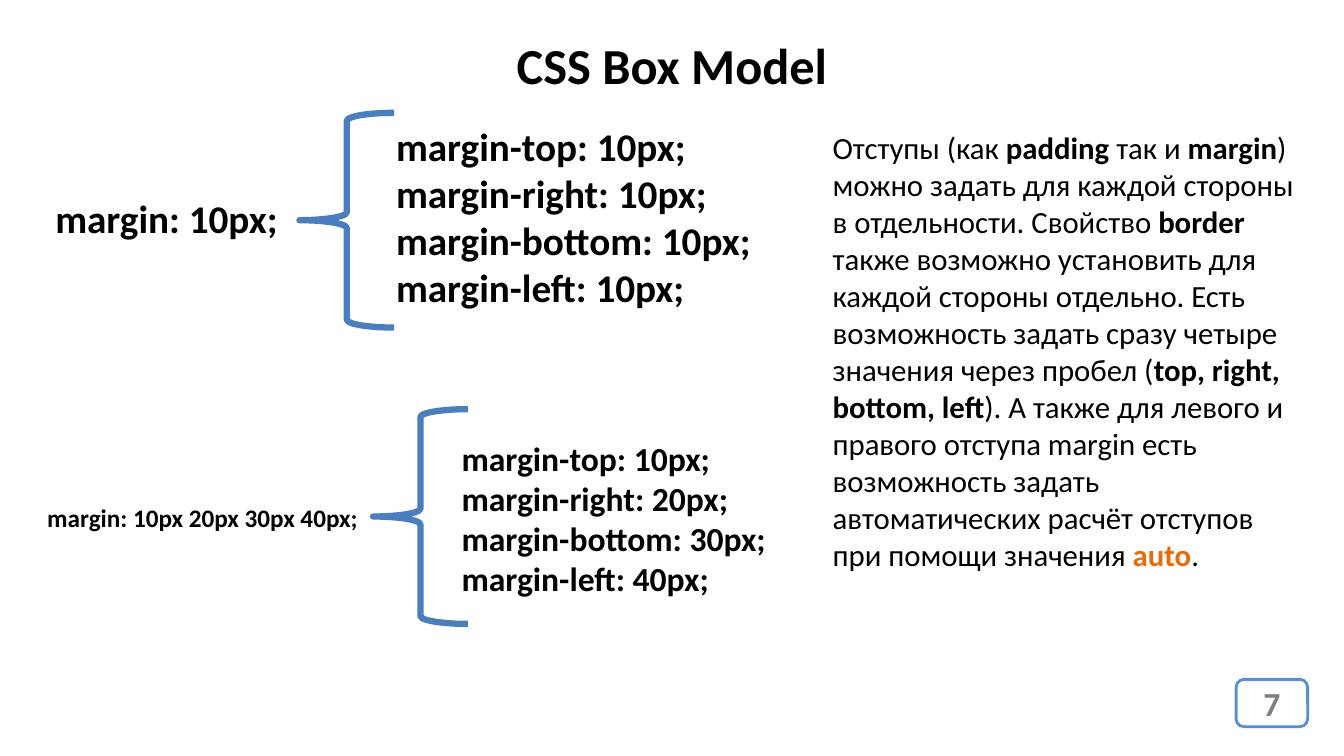
from pptx import Presentation
from pptx import util as u
from pptx.dml.color import RGBColor
from pptx.enum import shapes, text


def color(value):
    return RGBColor.from_string(value)


class SlideBuilder:
    font = "Calibri"
    ink = "000000"
    accent = "E46C0A"
    brace_line = "4B7EBC"
    badge_line = "558ED5"
    badge_ink = "808080"

    def __init__(self, slide):
        self.slide = slide

    def style(self, run, size, ink=None, bold=True):
        run.font.name = self.font
        run.font.size = u.Pt(size)
        run.font.bold = bold
        run.font.color.rgb = color(ink or self.ink)

    def text_box(self, box, wrap=True):
        frame = self.slide.shapes.add_textbox(*map(u.Inches, box)).text_frame
        frame.word_wrap = wrap
        frame.auto_size = text.MSO_AUTO_SIZE.SHAPE_TO_FIT_TEXT
        return frame

    def lines(self, box, content, size, wrap=False, align=text.PP_ALIGN.LEFT):
        frame = self.text_box(box, wrap)
        frame.text = content
        for paragraph in frame.paragraphs:
            paragraph.alignment = align
            for run in paragraph.runs:
                self.style(run, size)

    def rich_text(self, box, parts, size):
        """Each part is (words, bold, color)."""
        paragraph = self.text_box(box).paragraphs[0]
        for words, bold, ink in parts:
            run = paragraph.add_run()
            run.text = words
            self.style(run, size, ink, bold)

    def shape(self, kind, box, line, width, fill=None):
        shape = self.slide.shapes.add_shape(kind, *map(u.Inches, box))
        shape.shadow.inherit = False
        shape.line.color.rgb = color(line)
        shape.line.width = u.Pt(width)
        if fill:
            shape.fill.solid()
            shape.fill.fore_color.rgb = color(fill)
        else:
            shape.fill.background()
        return shape

    def brace(self, left, top):
        self.shape(shapes.MSO_SHAPE.LEFT_BRACE, (left, top, 0.94, 2.13),
                   self.brace_line, 4.5)

    def page_badge(self, box, number):
        badge = self.shape(shapes.MSO_SHAPE.ROUNDED_RECTANGLE, box,
                           self.badge_line, 2, "FFFFFF")
        frame = badge.text_frame
        frame.text = number
        frame.vertical_anchor = text.MSO_ANCHOR.MIDDLE
        paragraph = frame.paragraphs[0]
        paragraph.alignment = text.PP_ALIGN.CENTER
        self.style(paragraph.runs[0], 24, self.badge_ink)


def margins(*values):
    sides = ("top", "right", "bottom", "left")
    return "\n".join(f"margin-{side}: {value}px;"
                     for side, value in zip(sides, values))


def main():
    presentation = Presentation()
    presentation.slide_width = u.Inches(13.33)
    presentation.slide_height = u.Inches(7.5)
    builder = SlideBuilder(
        presentation.slides.add_slide(presentation.slide_layouts[6]))

    # Page number and title
    builder.page_badge((12.26, 6.74, 0.71, 0.47), "7")
    builder.lines((0, 0.29, 13.33, 0.71), "CSS Box Model", 36,
                  wrap=True, align=text.PP_ALIGN.CENTER)

    # One value for all sides
    builder.brace(2.97, 1.12)
    builder.lines((0.45, 1.88, 2.52, 0.57), "margin: 10px;", 28)
    builder.lines((3.83, 1.16, 3.77, 1.99), margins(10, 10, 10, 10), 28)

    # Explanation
    builder.rich_text((8.16, 1.23, 4.88, 4.54), [
        ("Отступы (как ", False, None),
        ("padding ", True, None),
        ("так и ", False, None),
        ("margin", True, None),
        (") можно задать для каждой стороны в отдельности. Свойство ",
         False, None),
        ("border ", True, None),
        ("также возможно установить для каждой стороны отдельно. Есть "
         "возможность задать сразу четыре значения через пробел (",
         False, None),
        ("top, right, bottom, left", True, None),
        ("). А также для левого и правого отступа margin есть возможность "
         "задать автоматических расчёт отступов при помощи значения ",
         False, None),
        ("auto", True, builder.accent),
        (".", False, None),
    ], 22)

    # A separate value for each side
    builder.brace(3.7, 4.06)
    builder.lines((0.37, 4.93, 3.37, 0.4), "margin: 10px 20px 30px 40px;", 18)
    builder.lines((4.48, 4.29, 3.26, 1.72), margins(10, 20, 30, 40), 24)

    presentation.save("out.pptx")


if __name__ == "__main__":
    main()
